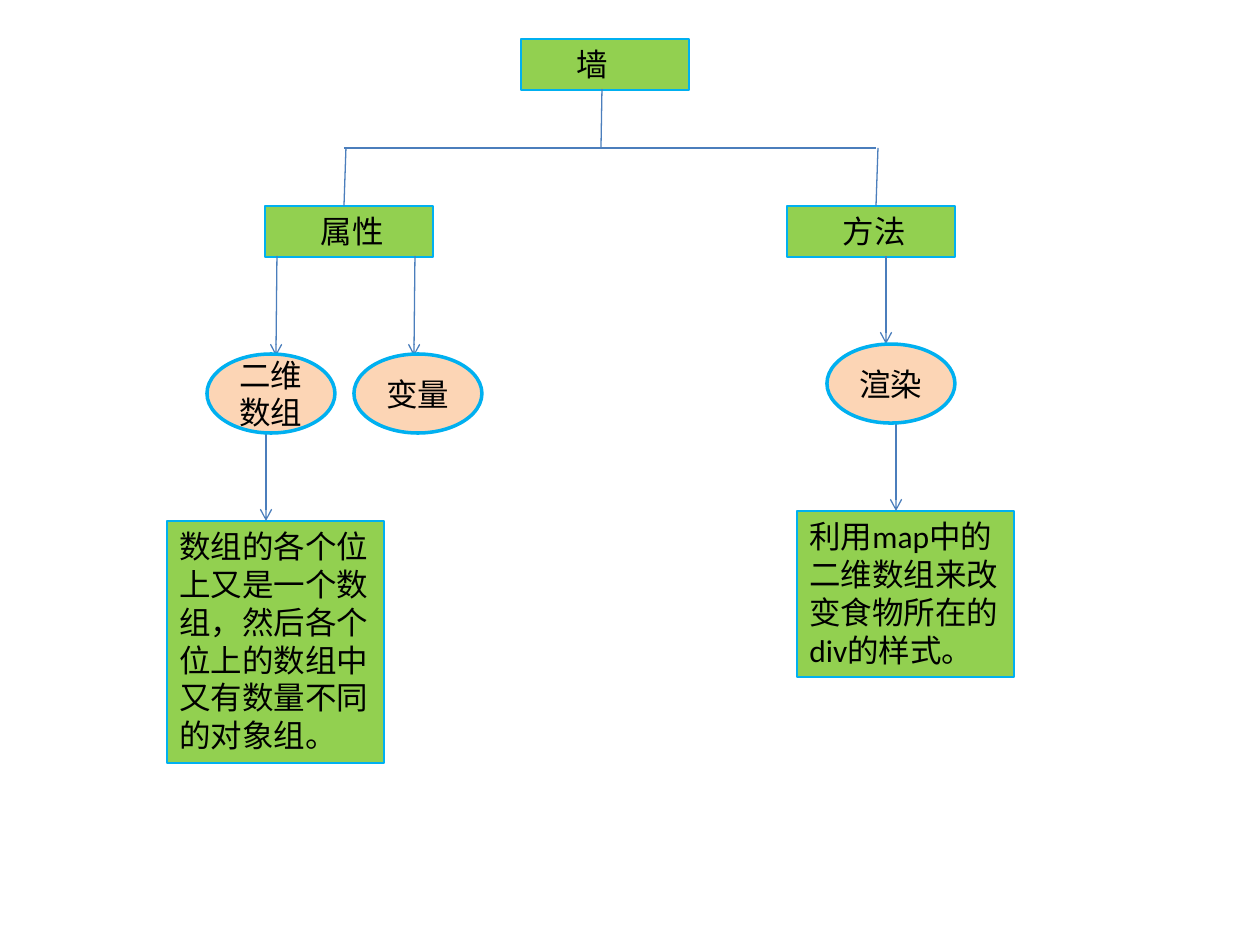
from typing import NamedTuple

import pptx
import pptx.dml.color
import pptx.enum.shapes
import pptx.enum.text
import pptx.oxml
import pptx.oxml.ns
import pptx.util

RGBColor = pptx.dml.color.RGBColor
SHAPES = pptx.enum.shapes.MSO_SHAPE
ALIGN = pptx.enum.text.PP_ALIGN
ANCHOR = pptx.enum.text.MSO_ANCHOR
AUTO_SIZE = pptx.enum.text.MSO_AUTO_SIZE

GREEN = RGBColor(0x92, 0xD0, 0x50)
PEACH = RGBColor(0xFC, 0xD5, 0xB5)
CYAN = RGBColor(0x00, 0xB0, 0xF0)
BLUE = RGBColor(0x4B, 0x7E, 0xBC)
BLACK = RGBColor(0x00, 0x00, 0x00)

PX_PER_INCH = 126
THIN = pptx.util.Pt(0.75)
FONT = {"name": "Calibri", "size": pptx.util.Pt(18)}


class Style(NamedTuple):
    shape: SHAPES
    width: int
    fill: RGBColor
    border: pptx.util.Length
    frame: dict
    align: ALIGN
    indent: int = 0


class Node(NamedTuple):
    text: str
    style: Style
    left: int
    top: int
    height: int


class Link(NamedTuple):
    start: tuple[int, int]
    end: tuple[int, int]
    arrow: bool = False


BOX_FRAME = {
    "word_wrap": True,
    "auto_size": AUTO_SIZE.SHAPE_TO_FIT_TEXT,
    "vertical_anchor": ANCHOR.TOP,
}
OVAL_FRAME = {"word_wrap": True, "vertical_anchor": ANCHOR.MIDDLE}

HEADING = Style(SHAPES.RECTANGLE, 168, GREEN, THIN, BOX_FRAME, ALIGN.LEFT, 43)
NOTE = Style(SHAPES.RECTANGLE, 217, GREEN, THIN, BOX_FRAME, ALIGN.LEFT)
MEMBER = Style(SHAPES.OVAL, 128, PEACH, pptx.util.Pt(2), OVAL_FRAME, ALIGN.CENTER)

BOXES = [
    Node("墙", HEADING, 521, 39, 51),
    Node("属性", HEADING, 265, 206, 51),
    Node("方法", HEADING, 787, 206, 51),
    Node("利用map中的二维数组来改变食物所在的div的样式。", NOTE, 797, 511, 166),
    Node("数组的各个位上又是一个数组，然后各个位上的数组中又有数量不同的对象组。",
         NOTE, 167, 521, 242),
]
MEMBERS = [
    Node("二维数组", MEMBER, 207, 354, 79),
    Node("变量", MEMBER, 354, 354, 79),
    Node("渲染", MEMBER, 827, 344, 79),
]
LINKS = [
    Link((344, 148), (876, 148)),
    Link((601, 148), (602, 89)),
    Link((344, 206), (346, 148)),
    Link((876, 206), (878, 148)),
    Link((277, 256), (276, 356), arrow=True),
    Link((415, 256), (414, 356), arrow=True),
    Link((886, 256), (886, 344), arrow=True),
    Link((896, 423), (896, 511), arrow=True),
    Link((266, 433), (266, 521), arrow=True),
]


def px(length: int) -> pptx.util.Length:
    return pptx.util.Emu(round(length * pptx.util.Inches(1) / PX_PER_INCH))


def apply(target: object, values: dict) -> None:
    for name, value in values.items():
        setattr(target, name, value)


def draw_node(slide: pptx.slide.Slide, node: Node) -> None:
    style = node.style
    shape = slide.shapes.add_shape(
        style.shape, px(node.left), px(node.top), px(style.width), px(node.height))
    shape.shadow.inherit = False
    shape.fill.solid()
    shape.fill.fore_color.rgb = style.fill
    shape.line.color.rgb = CYAN
    shape.line.width = style.border
    frame = shape.text_frame
    apply(frame, style.frame)
    frame.text = node.text
    paragraph = frame.paragraphs[0]
    paragraph.alignment = style.align
    if style.indent:
        frame.margin_left += px(style.indent)
    font = paragraph.runs[0].font
    apply(font, FONT)
    font.color.rgb = BLACK


def draw_link(slide: pptx.slide.Slide, link: Link) -> None:
    connector = slide.shapes.add_connector(
        pptx.enum.shapes.MSO_CONNECTOR.STRAIGHT,
        *(px(value) for value in link.start + link.end))
    connector.line.color.rgb = BLUE
    connector.line.width = THIN
    if link.arrow:
        head = pptx.oxml.parse_xml(
            f'<a:tailEnd {pptx.oxml.ns.nsdecls("a")} type="arrow"/>')
        connector.line._get_or_add_ln().append(head)
    no_shadow = pptx.oxml.parse_xml(f'<a:effectLst {pptx.oxml.ns.nsdecls("a")}/>')
    connector._element.spPr.append(no_shadow)


def main() -> None:
    deck = pptx.Presentation()
    deck.slide_width, deck.slide_height = px(1260), px(945)
    slide = deck.slides.add_slide(deck.slide_layouts.get_by_name("Blank"))
    for node in BOXES:
        draw_node(slide, node)
    for link in LINKS:
        draw_link(slide, link)
    for node in MEMBERS:
        draw_node(slide, node)
    deck.save("out.pptx")


if __name__ == "__main__":
    main()
